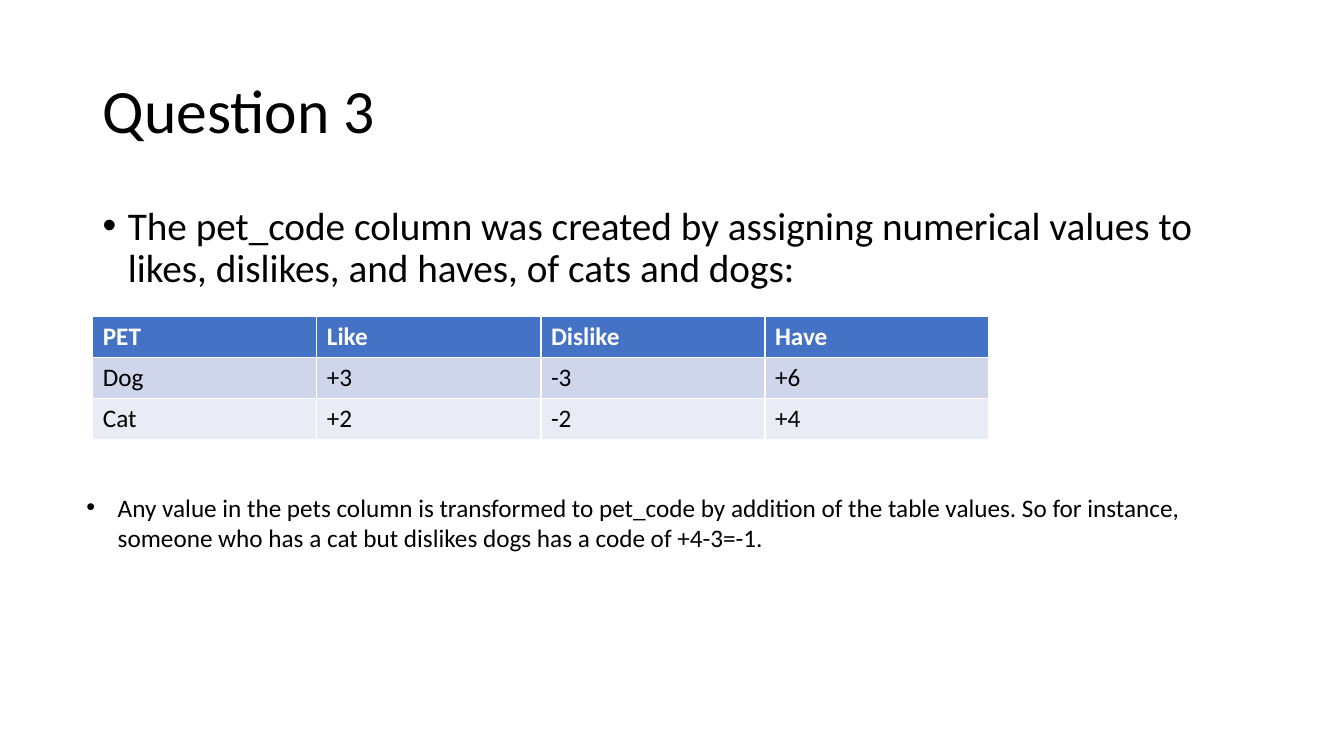
from dataclasses import dataclass

from lxml.etree import SubElement
from pptx import Presentation
from pptx.dml.color import RGBColor
from pptx.enum.text import MSO_ANCHOR, MSO_AUTO_SIZE, PP_ALIGN
from pptx.oxml.ns import qn
from pptx.util import Inches, Pt


@dataclass(frozen=True)
class Theme:
    """Colours, font and type sizes of the slide."""
    font: str = "Calibri"
    text: RGBColor = RGBColor(0x00, 0x00, 0x00)
    header_text: RGBColor = RGBColor(0xFF, 0xFF, 0xFF)
    header_fill: RGBColor = RGBColor(0x44, 0x72, 0xC4)
    bands: tuple = (RGBColor(0xCF, 0xD5, 0xEA), RGBColor(0xE9, 0xEB, 0xF5))
    title_size: int = 44
    body_size: int = 28
    small_size: int = 18


THEME = Theme()
PET_VALUES = [
    ("PET", "Like", "Dislike", "Have"),
    ("Dog", "+3", "-3", "+6"),
    ("Cat", "+2", "-2", "+4"),
]


def style_paragraph(paragraph, size, color=THEME.text, bold=False):
    """Set the font of a whole paragraph."""
    font = paragraph.font
    font.name, font.size, font.bold = THEME.font, Pt(size), bold
    font.color.rgb = color


def place_title(slide, text, left, top, width, height):
    """Fill and place the title placeholder."""
    title = slide.shapes.title
    title.left, title.top = Inches(left), Inches(top)
    title.width, title.height = Inches(width), Inches(height)
    frame = title.text_frame
    frame.text = text
    frame.auto_size = MSO_AUTO_SIZE.NONE
    frame.vertical_anchor = MSO_ANCHOR.MIDDLE
    paragraph = frame.paragraphs[0]
    paragraph.alignment = PP_ALIGN.LEFT
    paragraph.line_spacing = 0.9
    style_paragraph(paragraph, THEME.title_size)


def add_bullet(slide, text, left, top, width, height, size, indent):
    """Add a bulleted text box and return its paragraph."""
    box = slide.shapes.add_textbox(Inches(left), Inches(top), Inches(width), Inches(height))
    box.text_frame.word_wrap = True
    paragraph = box.text_frame.paragraphs[0]
    paragraph.text = text
    style_paragraph(paragraph, size)
    properties = paragraph._p.get_or_add_pPr()
    properties.set("marL", str(Inches(indent)))
    properties.set("indent", str(-Inches(indent)))
    bullet_font = SubElement(properties, qn("a:buFont"))
    bullet_font.set("typeface", "Arial")
    SubElement(properties, qn("a:buChar")).set("char", "•")
    properties.append(properties.find(qn("a:defRPr")))
    return paragraph


def add_pet_table(slide, rows, left, top, width, height):
    """Add the banded table of pet values."""
    table = slide.shapes.add_table(
        len(rows), len(rows[0]), Inches(left), Inches(top), Inches(width), Inches(height)
    ).table
    for row_index, row in enumerate(rows):
        is_header = row_index == 0
        fill = THEME.header_fill if is_header else THEME.bands[(row_index - 1) % 2]
        color = THEME.header_text if is_header else THEME.text
        for column_index, text in enumerate(row):
            cell = table.cell(row_index, column_index)
            cell.text = text
            cell.fill.solid()
            cell.fill.fore_color.rgb = fill
            style_paragraph(cell.text_frame.paragraphs[0], THEME.small_size, color, is_header)


def build_question_slide(presentation):
    """Build the slide that explains the pet codes."""
    slide = presentation.slides.add_slide(presentation.slide_layouts[5])
    place_title(slide, "Question 3", 0.92, 0.4, 11.5, 1.45)
    intro = add_bullet(
        slide,
        "The pet_code column was created by assigning numerical values to "
        "likes, dislikes, and haves, of cats and dogs:",
        0.92, 2, 11.5, 1, THEME.body_size, 0.25,
    )
    intro.line_spacing = 0.9
    intro.space_before = Pt(10)
    add_pet_table(slide, PET_VALUES, 0.92, 3.14, 8.89, 1.22)
    add_bullet(
        slide,
        "Any value in the pets column is transformed to pet_code by addition of the "
        "table values. So for instance, someone who has a cat but dislikes dogs has "
        "a code of +4-3=-1.",
        0.76, 4.83, 11.14, 0.71, THEME.small_size, 0.31,
    )


def main():
    """Create and save the presentation."""
    presentation = Presentation()
    presentation.slide_width, presentation.slide_height = Inches(13.33), Inches(7.5)
    build_question_slide(presentation)
    presentation.save("out.pptx")


if __name__ == "__main__":
    main()
